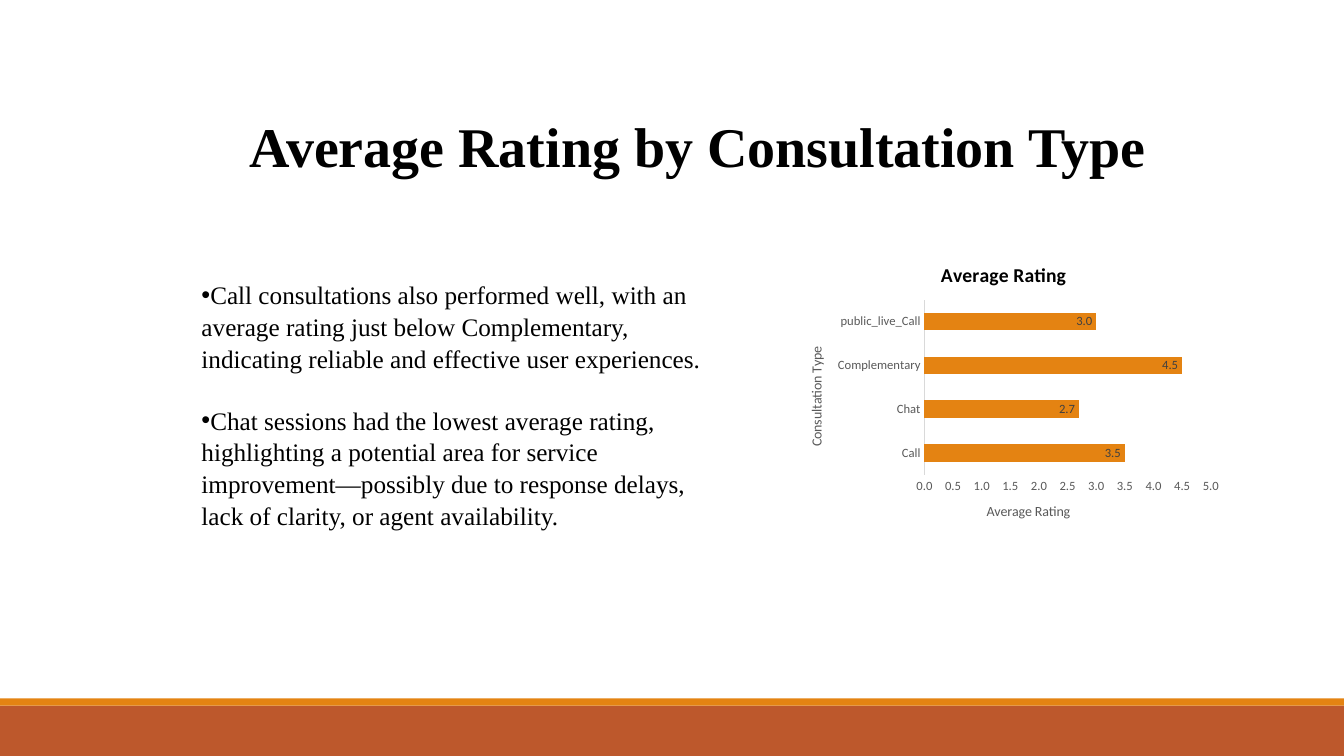
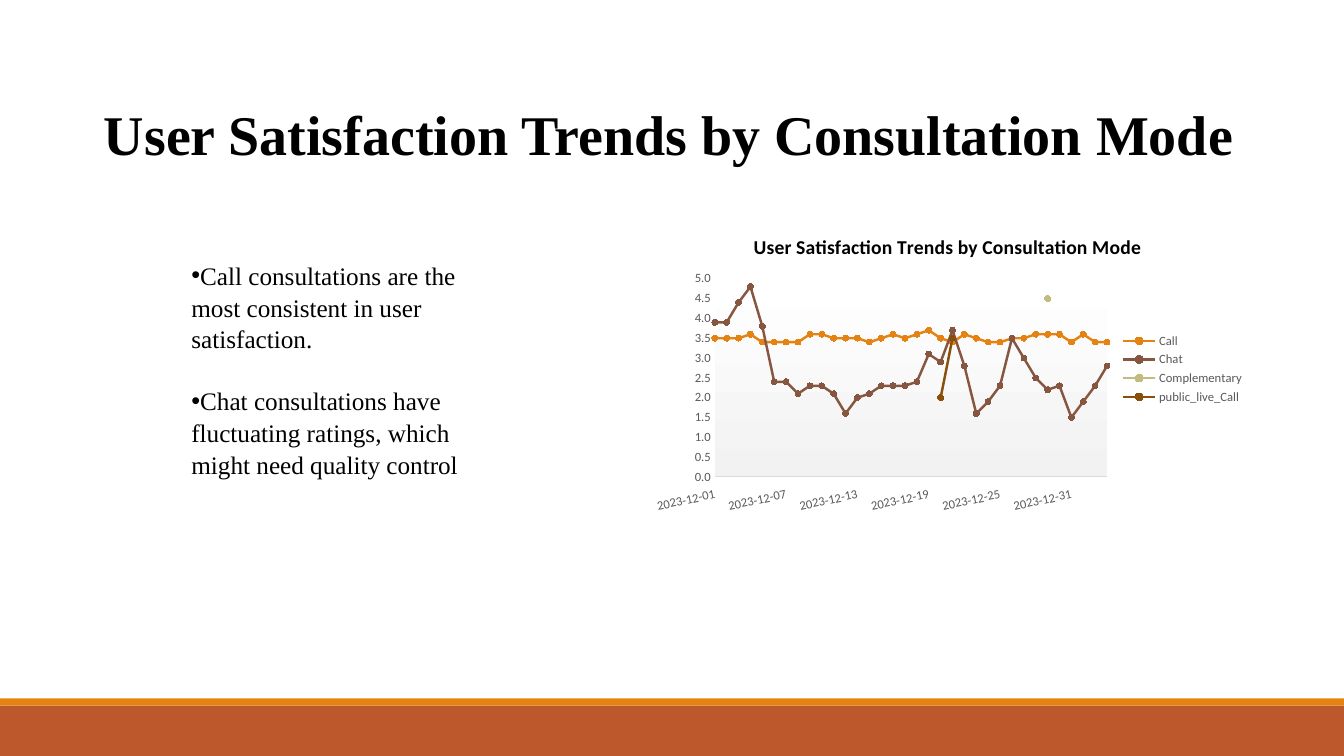
from lxml import etree
from pptx import Presentation
from pptx.chart.data import CategoryChartData
from pptx.dml.color import RGBColor
from pptx.enum import chart as charts, shapes, text
from pptx.oxml import parse_xml
from pptx.oxml.ns import nsdecls, qn
from pptx.util import Inches, Pt

SERIF, SANS = "Times New Roman", "Calibri"
BLACK, GREY, DARK_GREY, PALE_GREY = "000000", "595959", "404040", "D9D9D9"
ORANGE, RUST = "E48312", "BD582C"
SLIDE_SIZE = (13.33, 7.5)
BANDS = [(7, 0.5, RUST), (6.93, 0.07, ORANGE)]
TITLE_FONT = dict(name=SERIF, size=Pt(40), bold=True)
BODY_FONT = dict(name=SERIF, size=Pt(18), bold=False)
CHART_TITLE_FONT = dict(name=SANS, size=Pt(14), bold=True)
AXIS_TITLE_FONT = dict(name=SANS, size=Pt(10), bold=False)
SMALL_FONT = dict(name=SANS, size=Pt(9), bold=False)

RATINGS = {"Call": 3.5, "Chat": 2.7, "Complementary": 4.5, "public_live_Call": 3.0}
DATES = [f"2023-12-{day:02}" for day in range(1, 32)]
DATES += [f"2024-01-{day:02}" for day in range(1, 4)]
CALL = [3.5, 3.5, 3.5, 3.6, 3.4, 3.4, 3.4, 3.4, 3.6, 3.6, 3.5, 3.5,
        3.5, 3.4, 3.5, 3.6, 3.5, 3.6, 3.7, 3.5, 3.4, 3.6, 3.5, 3.4,
        3.4, 3.5, 3.5, 3.6, 3.6, 3.6, 3.4, 3.6, 3.4, 3.4]
CHAT = [3.9, 3.9, 4.4, 4.8, 3.8, 2.4, 2.4, 2.1, 2.3, 2.3, 2.1, 1.6,
        2, 2.1, 2.3, 2.3, 2.3, 2.4, 3.1, 2.9, 3.7, 2.8, 1.6, 1.9,
        2.3, 3.5, 3, 2.5, 2.2, 2.3, 1.5, 1.9, 2.3, 2.8]


def on_dates(ratings):
    """Spread ratings keyed by date over all dates, leaving gaps elsewhere."""
    return [ratings.get(date) for date in DATES]


TRENDS = [
    ("Call", CALL, ORANGE),
    ("Chat", CHAT, "865640"),
    ("Complementary", on_dates({"2023-12-29": 4.5}), "C2BC80"),
    ("public_live_Call", on_dates({"2023-12-20": 2, "2023-12-21": 3.5}), "894F0B"),
]


def rgb(hex_code):
    return RGBColor.from_string(hex_code)


def paint(fill, color):
    fill.solid()
    fill.fore_color.rgb = rgb(color)


def style_font(font, values, color=BLACK):
    for name, value in values.items():
        setattr(font, name, value)
    font.color.rgb = rgb(color)


def add_bands(page):
    for top, height, color in BANDS:
        band = page.shapes.add_shape(shapes.MSO_SHAPE.RECTANGLE, 0, Inches(top),
                                     Inches(SLIDE_SIZE[0]), Inches(height))
        band.shadow.inherit = False
        paint(band.fill, color)
        band.line.fill.background()


def add_text(page, box, lines, font, align=text.PP_ALIGN.LEFT,
             anchor=text.MSO_ANCHOR.TOP):
    """Write one paragraph per line and return the paragraphs."""
    frame = page.shapes.add_textbox(*map(Inches, box)).text_frame
    frame.word_wrap = True
    frame.auto_size = text.MSO_AUTO_SIZE.SHAPE_TO_FIT_TEXT
    frame.vertical_anchor = anchor
    frame.text = "\n".join(lines)
    for para in frame.paragraphs:
        para.alignment = align
        for span in para.runs:
            style_font(span.font, font)
    return frame.paragraphs


def add_bullets(page, box, lines):
    paras = add_text(page, box, lines, BODY_FONT, anchor=text.MSO_ANCHOR.MIDDLE)
    for index, para in enumerate(paras):
        para.line_spacing = 1.05
        para.space_before = Pt(21.6 if index else 0)
        props = para._p.get_or_add_pPr()
        props.set("marL", "0")
        props.set("indent", "0")
        etree.SubElement(props, qn("a:buFont")).set("typeface", "Arial")
        etree.SubElement(props, qn("a:buChar")).set("char", "•")


def place_plot(chart, x, y, w, h):
    """Fix the inner plot area, in fractions of the chart."""
    area = chart._chartSpace.chart.plotArea
    for layout in area.findall(qn("c:layout")):
        area.remove(layout)
    sizes = "".join(f'<c:{key} val="{value}"/>'
                    for key, value in dict(x=x, y=y, w=w, h=h).items())
    area.insert(0, parse_xml(
        f'<c:layout {nsdecls("c")}><c:manualLayout><c:layoutTarget val="inner"/>'
        f'<c:xMode val="edge"/><c:yMode val="edge"/>{sizes}'
        '</c:manualLayout></c:layout>'))


def style_axes(chart):
    for axis in (chart.category_axis, chart.value_axis):
        axis.has_major_gridlines = False
        axis.major_tick_mark = axis.minor_tick_mark = charts.XL_TICK_MARK.NONE
        style_font(axis.tick_labels.font, SMALL_FONT, GREY)
    line = chart.category_axis.format.line
    line.color.rgb = rgb(PALE_GREY)
    line.width = Pt(0.75)
    values = chart.value_axis
    values.format.line.fill.background()
    values.minimum_scale, values.maximum_scale, values.major_unit = 0, 5, 0.5
    values.tick_labels.number_format = "0.0"
    values.tick_labels.number_format_is_linked = False


def add_title(owner, words, font, color=BLACK):
    """Title a chart or an axis."""
    owner.has_title = True
    title = owner.chart_title if hasattr(owner, "chart_title") else owner.axis_title
    title.text_frame.text = words
    style_font(title.text_frame.paragraphs[0].runs[0].font, font, color)


def add_chart(page, box, kind, categories, series, title, plot_box):
    data = CategoryChartData(number_format="0.0")
    data.categories = categories
    for name, values in series:
        data.add_series(name, values)
    chart = page.shapes.add_chart(kind, *map(Inches, box), data).chart
    style_font(chart.font, dict(name=SANS, size=Pt(10)))
    add_title(chart, title, CHART_TITLE_FONT)
    chart.has_legend = False
    chart.plots[0].vary_by_categories = False
    style_axes(chart)
    place_plot(chart, *plot_box)
    return chart


def add_rating_chart(page, box):
    chart = add_chart(page, box, charts.XL_CHART_TYPE.BAR_STACKED, list(RATINGS),
                      [("Series 1", list(RATINGS.values()))], "Average Rating",
                      (0.32, 0.18, 0.65, 0.6))
    add_title(chart.category_axis, "Consultation Type", AXIS_TITLE_FONT, GREY)
    add_title(chart.value_axis, "Average Rating", AXIS_TITLE_FONT, GREY)
    plot = chart.plots[0]
    plot.gap_width, plot.overlap = 150, 100
    paint(plot.series[0].format.fill, ORANGE)
    labels = plot.series[0].data_labels
    labels.show_value = True
    labels.position = charts.XL_LABEL_POSITION.INSIDE_END
    labels.number_format, labels.number_format_is_linked = "0.0", False
    style_font(labels.font, SMALL_FONT, DARK_GREY)


def shade_plot(chart):
    """Fade the plot area from white down to light grey."""
    stops = "".join(f'<a:gs pos="{pos}"><a:srgbClr val="{color}"/></a:gs>'
                    for pos, color in ((0, "FFFFFF"), (100000, "F2F2F2")))
    chart._chartSpace.chart.plotArea.append(parse_xml(
        f'<c:spPr {nsdecls("c", "a")}><a:gradFill><a:gsLst>{stops}</a:gsLst>'
        '<a:lin ang="5400000" scaled="0"/></a:gradFill></c:spPr>'))


def set_date_axis(chart):
    """Slant every sixth date and start the lines on the value axis."""
    dates = chart.category_axis
    dates.tick_label_position = charts.XL_TICK_LABEL_POSITION.LOW
    dates._element.find(qn("c:txPr")).find(qn("a:bodyPr")).set("rot", "-720000")
    skip = parse_xml(f'<c:tickLblSkip {nsdecls("c")} val="6"/>')
    dates._element.find(qn("c:noMultiLvlLbl")).addprevious(skip)
    values = chart.value_axis._element
    cross = values.find(qn("c:crossBetween"))
    if cross is None:
        cross = parse_xml(f'<c:crossBetween {nsdecls("c")}/>')
        values.find(qn("c:crosses")).addnext(cross)
    cross.set("val", "midCat")


def add_trend_chart(page, box):
    chart = add_chart(page, box, charts.XL_CHART_TYPE.LINE_MARKERS, DATES,
                      [trend[:2] for trend in TRENDS],
                      "User Satisfaction Trends by Consultation Mode",
                      (0.12, 0.2, 0.64, 0.66))
    for series, (_, _, color) in zip(chart.plots[0].series, TRENDS):
        series.smooth = False
        series.format.line.color.rgb = rgb(color)
        series.format.line.width = Pt(1.75)
        series.marker.style = charts.XL_MARKER_STYLE.CIRCLE
        series.marker.size = 4
        paint(series.marker.format.fill, color)
        series.marker.format.line.color.rgb = rgb(color)
    chart.has_legend = True
    chart.legend.position = charts.XL_LEGEND_POSITION.RIGHT
    chart.legend.include_in_layout = False
    style_font(chart.legend.font, SMALL_FONT, GREY)
    shade_plot(chart)
    set_date_axis(chart)


def add_page(deck, title, title_box, align, bullets, bullet_box, draw_chart, chart_box):
    page = deck.slides.add_slide(deck.slide_layouts[6])
    add_bands(page)
    add_text(page, title_box, [title], TITLE_FONT, align)
    add_bullets(page, bullet_box, bullets)
    draw_chart(page, chart_box)


def main():
    deck = Presentation()
    deck.slide_width, deck.slide_height = map(Inches, SLIDE_SIZE)
    add_page(
        deck, "Average Rating by Consultation Type",
        (2.38, 1.06, 10.78, 0.77), text.PP_ALIGN.LEFT,
        ["Call consultations also performed well, with an average rating just below "
         "Complementary, indicating reliable and effective user experiences.",
         "Chat sessions had the lowest average rating, highlighting a potential area "
         "for service improvement—possibly due to response delays, lack of clarity, "
         "or agent availability."],
        (1.9, 2.75, 5.18, 2.52), add_rating_chart, (7.77, 2.45, 4.37, 2.9))
    add_page(
        deck, "User Satisfaction Trends by Consultation Mode",
        (0.82, 0.94, 11.62, 0.77), text.PP_ALIGN.CENTER,
        ["Call consultations are the most consistent in user satisfaction.",
         "Chat consultations have fluctuating ratings, which might need quality control"],
        (1.8, 2.55, 3.27, 2.22), add_trend_chart, (6.36, 2.17, 6.08, 2.98))
    deck.save("out.pptx")


if __name__ == "__main__":
    main()
